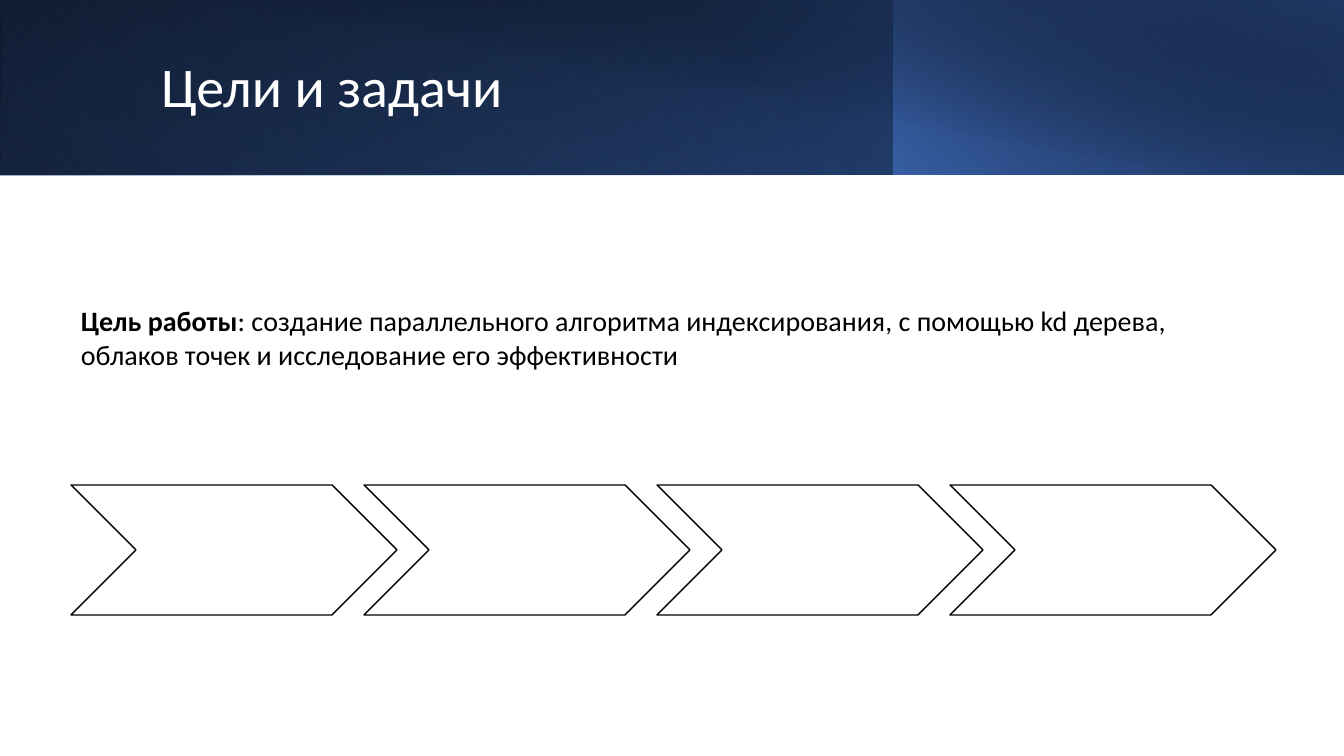
"""Build the goals slide: a layered gradient header, a goal statement and four chevrons."""
from dataclasses import dataclass
from typing import Any

from pptx import Presentation
from pptx.dml.color import RGBColor
from pptx.enum.shapes import MSO_SHAPE as Preset
from pptx.enum.text import MSO_ANCHOR as Anchor, MSO_AUTO_SIZE as AutoSize, PP_ALIGN as Align
from pptx.oxml import parse_xml
from pptx.oxml.ns import nsdecls
from pptx.util import Emu, Pt

EMU_PER_INCH = 914400
PX_PER_INCH = 100.8
FONT = "Calibri"
COLORS = {
    "black": "000000",
    "white": "FFFFFF",
    "blue": "4472C4",
    "deep": "2F5597",
    "navy": "203864",
}


@dataclass(frozen=True)
class Box:
    left: int
    top: int
    width: int
    height: int

    def emu(self) -> tuple[Emu, ...]:
        return tuple(map(px, (self.left, self.top, self.width, self.height)))


@dataclass(frozen=True)
class Stop:
    position: int
    color: str
    opacity: int = 100


@dataclass(frozen=True)
class Band:
    box: Box
    stops: tuple[Stop, ...]
    angle: int
    flipped: bool = True
    rotation: int = 0


BANDS = (
    Band(Box(0, 0, 1344, 175), (Stop(0, "black"), Stop(100, "deep")), 140),
    Band(Box(0, 0, 895, 175), (Stop(20, "blue", 0), Stop(100, "navy", 55)), 230, rotation=180),
    Band(Box(894, 0, 450, 175), (Stop(0, "blue", 66), Stop(100, "black", 30)), 220),
    Band(Box(50, 0, 1294, 176), (Stop(50, "black", 0), Stop(99, "navy", 52)), 280, flipped=False),
)
TITLE_BOX = Box(151, 32, 1091, 114)
GOAL_BOX = Box(71, 299, 1205, 78)
FIRST_CHEVRON = Box(71, 485, 326, 130)
CHEVRON_COUNT = 4
CHEVRON_PITCH = 293
GOAL_RUNS = (
    ("Цель работы", True),
    (": создание параллельного алгоритма индексирования, с помощью kd дерева, "
     "облаков точек и исследование его эффективности", False),
)


def px(length: int) -> Emu:
    return Emu(round(length * EMU_PER_INCH / PX_PER_INCH))


def rgb(name: str) -> RGBColor:
    return RGBColor.from_string(COLORS[name])


def apply(target: Any, values: dict[str, Any]) -> None:
    for name, value in values.items():
        setattr(target, name, value)


def add_run(para: Any, text: str, size: int, color: str, bold: bool = False) -> None:
    run = para.add_run()
    run.text = text
    apply(run.font, {"name": FONT, "size": Pt(size), "bold": bold})
    run.font.color.rgb = rgb(color)


def draw_band(page: Any, band: Band) -> None:
    shape = page.shapes.add_shape(Preset.RECTANGLE, *band.box.emu())
    shape.shadow.inherit = False
    shape.line.fill.background()
    shape.rotation = band.rotation
    stops = "".join(
        f'<a:gs pos="{stop.position * 1000}"><a:srgbClr val="{COLORS[stop.color]}">'
        f'<a:alpha val="{stop.opacity * 1000}"/></a:srgbClr></a:gs>'
        for stop in band.stops
    )
    gradient = parse_xml(
        f'<a:gradFill {nsdecls("a")}><a:gsLst>{stops}</a:gsLst>'
        f'<a:lin ang="{band.angle * 60000}" scaled="0"/></a:gradFill>'
    )
    properties = shape.element.spPr
    properties.insert(2, gradient)
    if band.flipped:
        properties.xfrm.set("flipH", "1")


def draw_title(page: Any) -> None:
    title = page.shapes.title
    page.shapes.element.append(title.element)
    apply(title, dict(zip(("left", "top", "width", "height"), TITLE_BOX.emu())))
    apply(title.text_frame, {
        "vertical_anchor": Anchor.MIDDLE,
        "auto_size": AutoSize.NONE,
        "word_wrap": True,
    })
    para = title.text_frame.paragraphs[0]
    apply(para, {"alignment": Align.LEFT, "line_spacing": 0.9})
    add_run(para, "Цели и задачи", 40, "white")


def draw_goal(page: Any) -> None:
    frame = page.shapes.add_textbox(*GOAL_BOX.emu()).text_frame
    apply(frame, {"word_wrap": True, "auto_size": AutoSize.SHAPE_TO_FIT_TEXT})
    for text, bold in GOAL_RUNS:
        add_run(frame.paragraphs[0], text, 20, "black", bold)


def draw_chevrons(page: Any) -> None:
    group = page.shapes.add_group_shape()
    first = FIRST_CHEVRON
    for index in range(CHEVRON_COUNT):
        box = Box(first.left + index * CHEVRON_PITCH, first.top, first.width, first.height)
        chevron = group.shapes.add_shape(Preset.CHEVRON, *box.emu())
        chevron.shadow.inherit = False
        chevron.fill.solid()
        chevron.fill.fore_color.rgb = rgb("white")
        chevron.line.color.rgb = rgb("black")
        chevron.line.width = Pt(1)


def main() -> None:
    deck = Presentation()
    apply(deck, {"slide_width": px(1344), "slide_height": px(756)})
    page = deck.slides.add_slide(deck.slide_layouts.get_by_name("Title Only"))
    for band in BANDS:
        draw_band(page, band)
    draw_title(page)
    draw_goal(page)
    draw_chevrons(page)
    deck.save("out.pptx")


if __name__ == "__main__":
    main()
